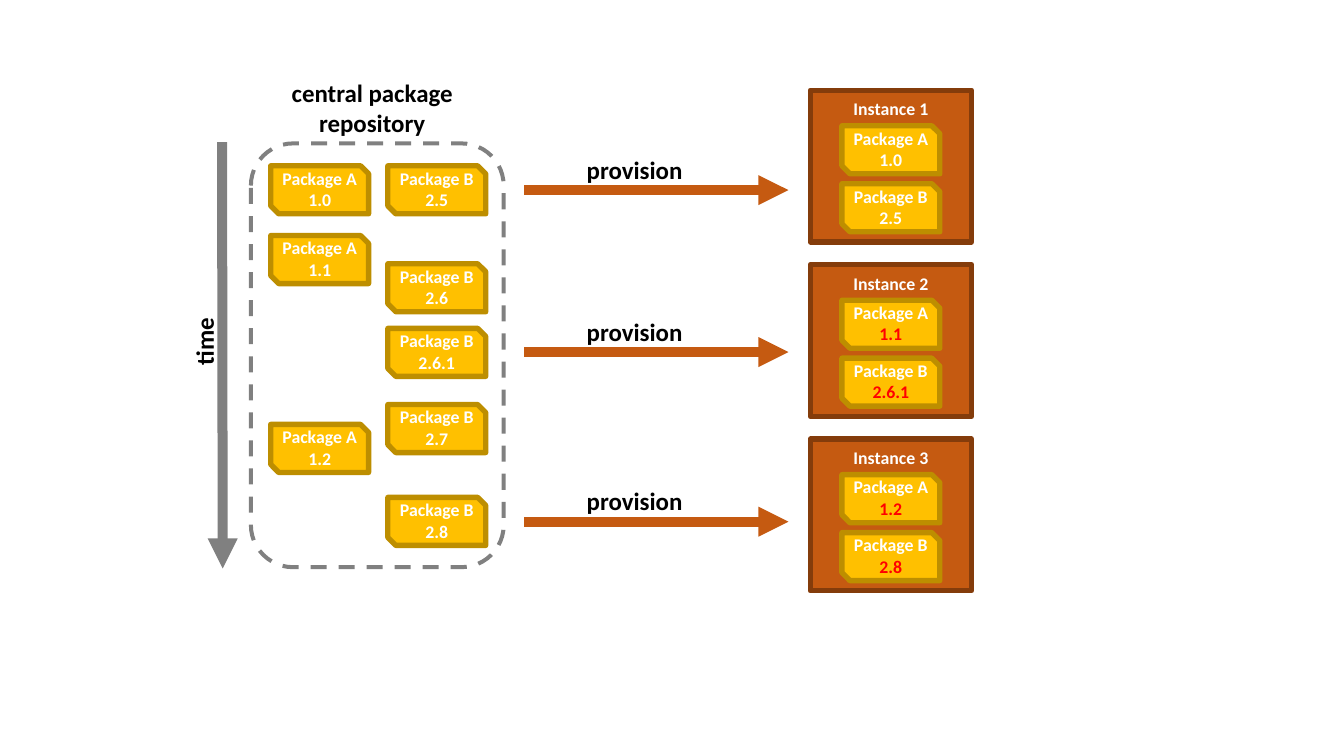
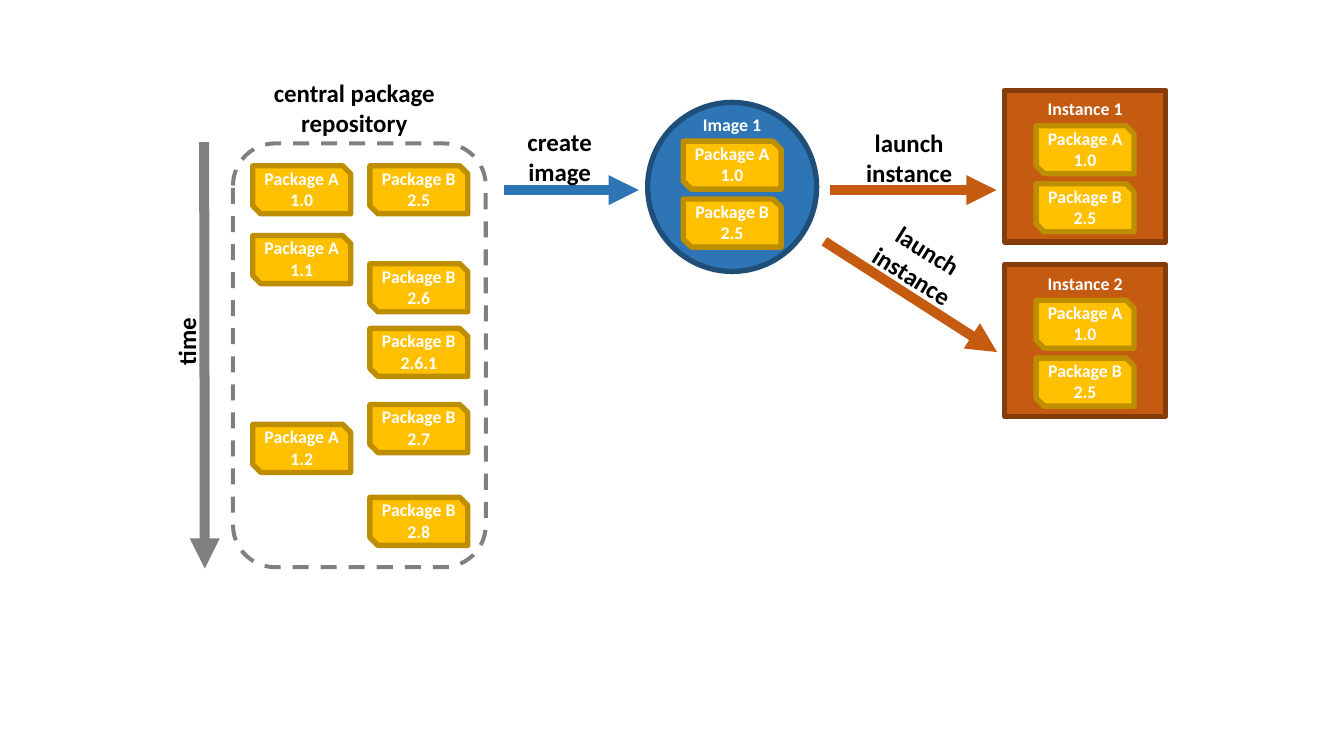
"""Build two diagrams of package provisioning, on a grid of 210 square cells across."""
from lxml import etree
from pptx import Presentation
from pptx.dml.color import RGBColor
from pptx.enum.dml import MSO_LINE
from pptx.enum.shapes import MSO_CONNECTOR, MSO_SHAPE
from pptx.enum.text import MSO_AUTO_SIZE, PP_ALIGN
from pptx.oxml.ns import qn
from pptx.util import Inches, Pt

RECT, ELLIPSE = MSO_SHAPE.RECTANGLE, MSO_SHAPE.OVAL
ROUND, SNIP = MSO_SHAPE.ROUNDED_RECTANGLE, MSO_SHAPE.SNIP_2_DIAG_RECTANGLE
STRAIGHT, DASH = MSO_CONNECTOR.STRAIGHT, MSO_LINE.DASH
CENTER, GROW = PP_ALIGN.CENTER, MSO_AUTO_SIZE.SHAPE_TO_FIT_TEXT

COLORS = {
    "black": "000000", "white": "FFFFFF", "red": "FF0000", "gray": "808080",
    "package": "FFC000", "package_edge": "BD8E00",
    "instance": "C55A11", "instance_edge": "843C0B",
    "image": "2E75B6", "image_edge": "1F4E79",
}
CELL = Inches(0.1)
COLS, ROWS = 210, 118.1
PACK_W, PACK_H = 15.3, 7.5
INSTANCE_W, INSTANCE_H, IMAGE_D = 25.2, 23.7, 26.4
INSTANCE_TOP, INSTANCE_PITCH = 14.1, 27.25
REPO_TOP, REPO_W, REPO_H = 22.4, 39.5, 66.2
REPO_PACKAGES = [
    ("A", "1.0", 25.9), ("A", "1.1", 36.8), ("A", "1.2", 66.3),
    ("B", "2.5", 25.9), ("B", "2.6", 41.2), ("B", "2.6.1", 51.3),
    ("B", "2.7", 63.2), ("B", "2.8", 77.7),
]
REPO_COLS = {"A": 3.1, "B": 21.4}


def add_text(shapes, text, x, y, w, h, size=28, color="black", last=None, rotation=0):
    tb = shapes.add_textbox(*(round(v * CELL) for v in (x, y, w, h)))
    tb.rotation = rotation
    tf = tb.text_frame
    tf.word_wrap = True
    tf.auto_size = GROW
    lines = text.split("\n")
    for i, line in enumerate(lines):
        p = tf.add_paragraph() if i else tf.paragraphs[0]
        p.alignment = CENTER
        r = p.add_run()
        r.text = line
        r.font.name, r.font.size, r.font.bold = "Calibri", Pt(size), True
        name = last if last and i == len(lines) - 1 else color
        r.font.color.rgb = RGBColor.from_string(COLORS[name])


def add_box(shapes, kind, x, y, w, h, edge, fill=None, width=6):
    sp = shapes.add_shape(kind, *(round(v * CELL) for v in (x, y, w, h)))
    sp.shadow.inherit = False
    if fill:
        sp.fill.solid()
        sp.fill.fore_color.rgb = RGBColor.from_string(COLORS[fill])
    else:
        sp.fill.background()
    sp.line.color.rgb = RGBColor.from_string(COLORS[edge])
    sp.line.width = Pt(width)
    return sp


provision_rows = (29.7, 55, 81.5)
slides = [
    {
        "repo": 39.2,
        "hosts": [("instance", "Instance 1", 126.6, 0, "1.0", "2.5", "white"),
                  ("instance", "Instance 2", 126.6, 1, "1.1", "2.6.1", "red"),
                  ("instance", "Instance 3", 126.6, 2, "1.2", "2.8", "red")],
        "arrows": [(81.9, y, 123.2, y, "instance") for y in provision_rows],
        "labels": [("provision", 83, y - 6.1, 5.7, 0) for y in provision_rows],
    },
    {
        "repo": 36.4,
        "hosts": [("image", "Image 1", 101.2, 0, "1.0", "2.5", "white"),
                  ("instance", "Instance 1", 156.95, 0, "1.0", "2.5", "white"),
                  ("instance", "Instance 2", 156.95, 1, "1.0", "2.5", "white")],
        "arrows": [(78.7, 29.7, 99.8, 29.7, "image"),
                   (129.7, 29.7, 155.7, 29.7, "instance"),
                   (128.8, 37.7, 155.8, 55, "instance")],
        "labels": [("create\nimage", 71.3, 19.3, 10.4, 0),
                   ("launch\ninstance", 125.9, 19.5, 10.4, 0),
                   ("launch\ninstance", 127.6, 35.9, 10.4, 31.9)],
    },
]

prs = Presentation()
prs.slide_width, prs.slide_height = COLS * CELL, round(ROWS * CELL)

for content in slides:
    s = prs.slides.add_slide(prs.slide_layouts[6])
    repo = content["repo"]
    add_text(s.shapes, "time", repo - 16.3, 50.5, 18, 5.7, rotation=270)
    sp = add_box(s.shapes, ROUND, repo, REPO_TOP, REPO_W, REPO_H, "gray", width=4.5)
    sp.line.dash_style = DASH
    add_text(s.shapes, "central package repository", repo + 2.1, 11.7, 33.7, 10.4)
    packages = [(name, version, repo + REPO_COLS[name], y, "white")
                for name, version, y in REPO_PACKAGES]

    for kind, title, x, row, a, b, color in content["hosts"]:
        if kind == "image":
            shape, y, w, h, inset = ELLIPSE, 16, IMAGE_D, IMAGE_D, 1.2
        else:
            shape, w, h, inset = RECT, INSTANCE_W, INSTANCE_H, 0.7
            y = INSTANCE_TOP + row * INSTANCE_PITCH
        add_box(s.shapes, shape, x, y, w, h, kind + "_edge", kind)
        left, top = x + (w - PACK_W) / 2, y + inset
        add_text(s.shapes, title, left - 0.15, top, 15.6, 4.4, size=20, color="white")
        packages += [("A", a, left, top + 4.85, color), ("B", b, left, top + 13.9, color)]

    for name, version, x, y, color in packages:
        group = s.shapes.add_group_shape()
        add_box(group.shapes, SNIP, x, y, PACK_W, PACK_H, "package_edge", "package")
        add_text(group.shapes, f"Package {name}\n{version}", x - 0.15, y - 0.25, 15.6, 7.7,
                 size=20, color="white", last=color)

    time_arrow = (repo - 4.5, 22.2, repo - 4.4, 88.8, "gray")
    for x1, y1, x2, y2, color in [time_arrow] + content["arrows"]:
        line = s.shapes.add_connector(STRAIGHT, *(round(v * CELL) for v in (x1, y1, x2, y2)))
        line.line.color.rgb = RGBColor.from_string(COLORS[color])
        line.line.width = Pt(11.25)
        etree.SubElement(line.line._get_or_add_ln(), qn("a:tailEnd"), type="triangle")
        etree.SubElement(line._element.spPr, qn("a:effectLst"))

    for text, x, y, h, rotation in content["labels"]:
        add_text(s.shapes, text, x, y, 32.3, h, rotation=rotation)

prs.save("out.pptx")
